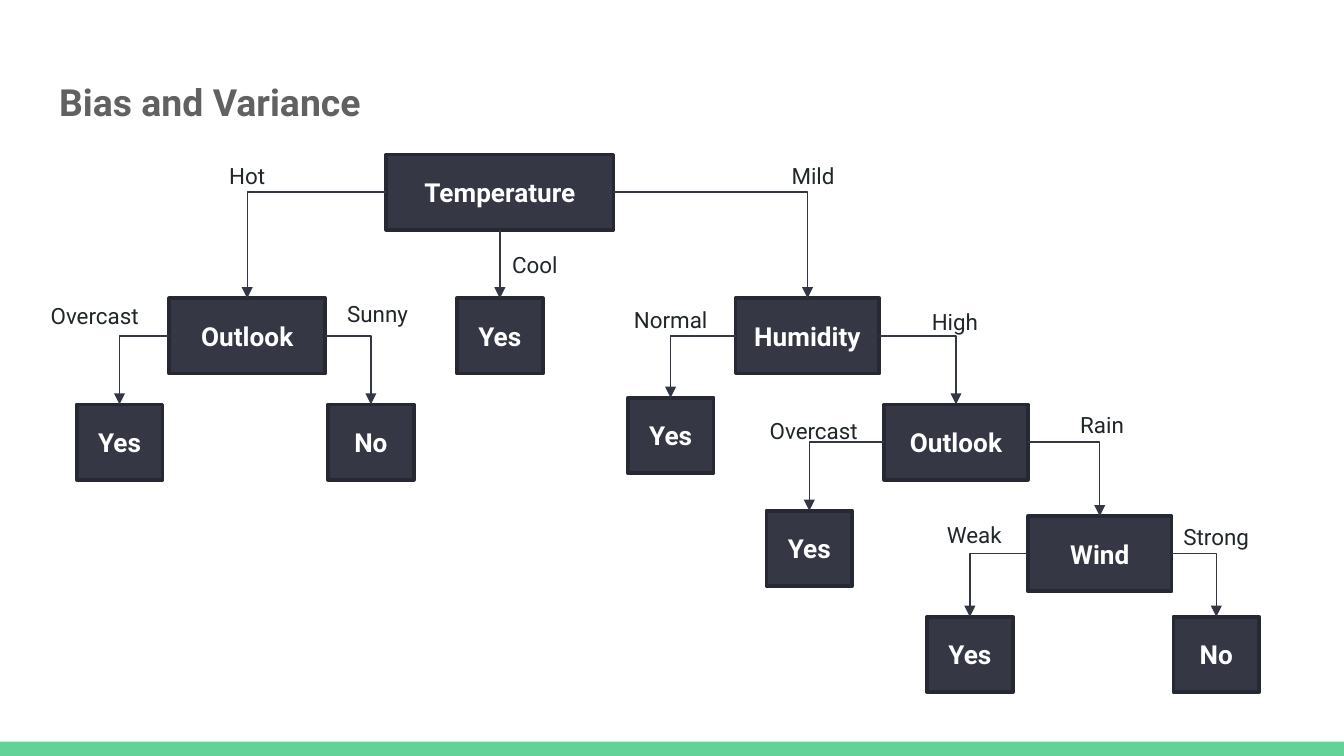
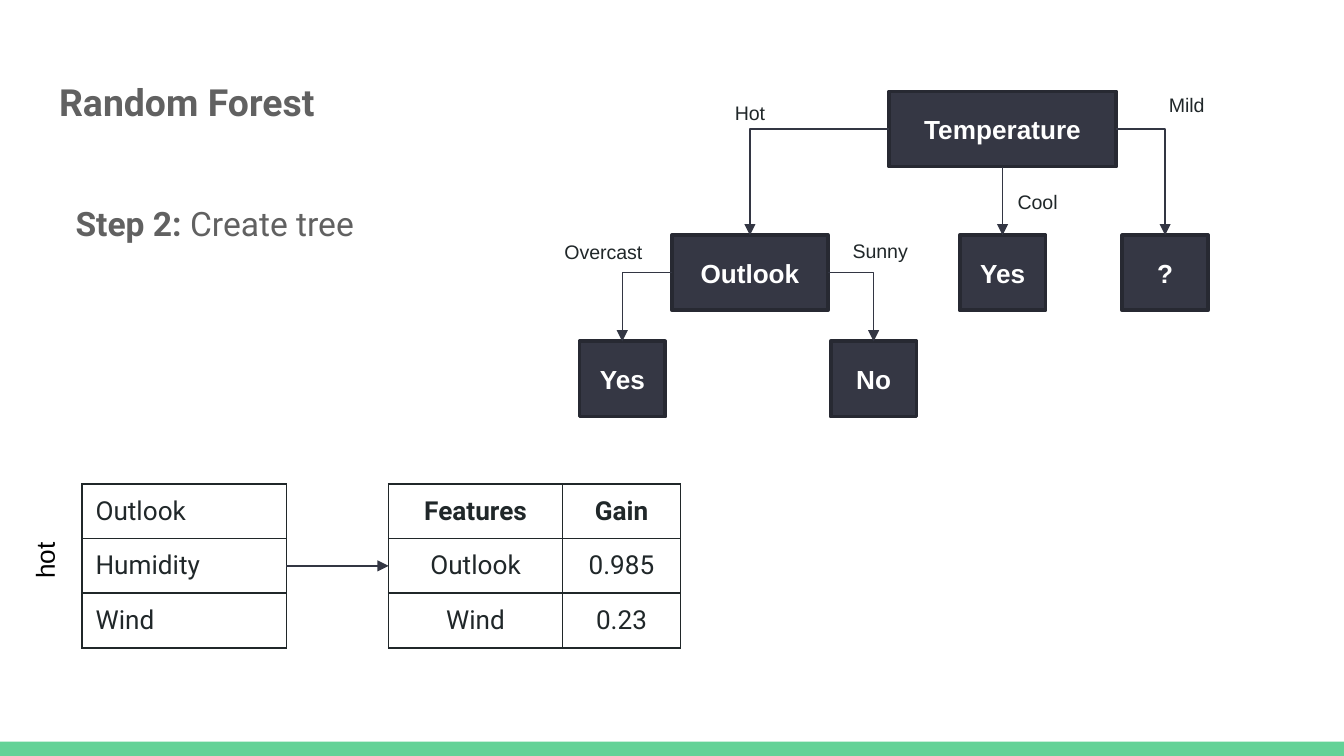
from lxml.etree import SubElement
from pptx import Presentation
from pptx.dml.color import RGBColor
from pptx.enum.shapes import MSO_CONNECTOR, MSO_SHAPE
from pptx.enum.text import MSO_ANCHOR, MSO_AUTO_SIZE, PP_ALIGN
from pptx.oxml.ns import qn
from pptx.util import Pt

WHITE = RGBColor(0xFF, 0xFF, 0xFF)
BLACK = RGBColor(0x00, 0x00, 0x00)
GREEN = RGBColor(0x63, 0xD2, 0x97)
GREY = RGBColor(0x61, 0x61, 0x61)
INK = RGBColor(0x20, 0x27, 0x29)
NODE_FILL = RGBColor(0x35, 0x37, 0x44)
NODE_LINE = RGBColor(0x27, 0x29, 0x32)
ARROW = RGBColor(0x33, 0x36, 0x43)

TIGHT = {"word_wrap": True, "vertical_anchor": MSO_ANCHOR.MIDDLE,
         "margin_left": 0, "margin_right": 0, "margin_top": 0, "margin_bottom": 0}
PADDED = {"word_wrap": True, "auto_size": MSO_AUTO_SIZE.NONE,
          "vertical_anchor": MSO_ANCHOR.TOP, "margin_left": Pt(7.2),
          "margin_right": Pt(7.2), "margin_top": Pt(7.2), "margin_bottom": Pt(7.2)}
TITLE = {"name": "Roboto", "size": Pt(20), "bold": True}
STEP = {"name": "Roboto", "size": Pt(18), "bold": True}
CELL = {"name": "Roboto", "size": Pt(14), "bold": False}
SIDE = {"name": "Arial", "size": Pt(14), "bold": False}


def write(tf, text, color, font, align=PP_ALIGN.LEFT, frame={}):
    for key, value in frame.items():
        setattr(tf, key, value)
    p = tf.paragraphs[0]
    p.alignment = align
    r = p.add_run()
    r.text = text
    r.font.color.rgb = color
    for key, value in font.items():
        setattr(r.font, key, value)


def style_arrow(cx):
    cx.line.color.rgb = ARROW
    cx.line.width = Pt(0.75)
    sp_pr = cx.element.spPr
    SubElement(sp_pr.find(qn("a:ln")), qn("a:tailEnd"), type="triangle")
    SubElement(sp_pr, qn("a:effectLst"))


NODE_H = 40.3
LEAF_W = 46
MID_W = 77

# key: text, centre x, top, width
shared_nodes = {
    "root": ("Temperature", 267.8, 82.8, 121.7),
    "outlook": ("Outlook", 132.5, 159.8, 83.5),
    "cool": ("Yes", 267.8, 159.8, LEAF_W),
    "overcast": ("Yes", 64.1, 216.7, LEAF_W),
    "sunny": ("No", 198.7, 216.7, LEAF_W),
}
shared_edges = [("root", "outlook"), ("root", "cool"),
                ("outlook", "overcast"), ("outlook", "sunny")]
shared_labels = [("Hot", 132.5, 94.3), ("Cool", 286.6, 141.8), ("Sunny", 202.3, 168.1)]

trees = [
    {
        "title": "Bias and Variance", "font": "Roboto", "label_size": 12, "offset": (0, 0),
        "nodes": {
            "humidity": ("Humidity", 432.6, 159.8, MID_W),
            "normal": ("Yes", 359.3, 213.1, LEAF_W),
            "high": ("Outlook", 512.2, 216.7, MID_W),
            "cloudy": ("Yes", 433.6, 273.6, LEAF_W),
            "wind": ("Wind", 589.2, 276.5, MID_W),
            "weak": ("Yes", 519.6, 330.5, LEAF_W),
            "strong": ("No", 651.6, 330.5, LEAF_W),
        },
        "edges": [("root", "humidity"), ("humidity", "normal"), ("humidity", "high"),
                  ("high", "cloudy"), ("high", "wind"), ("wind", "weak"), ("wind", "strong")],
        "labels": [("Mild", 435.6, 94.3), ("Overcast", 50.8, 168.8), ("Normal", 359.3, 171.4),
                   ("High", 511.6, 172.1), ("Overcast", 436, 230.4), ("Rain", 590.4, 227.5),
                   ("Weak", 522, 286.6), ("Strong", 651.6, 287.3)],
    },
    {
        "title": "Random Forest", "font": "Arial", "label_size": 10.5, "offset": (269.3, -33.8),
        "nodes": {"unknown": ("?", 354.9, 159.8, LEAF_W)},
        "edges": [("root", "unknown")],
        "labels": [("Mild", 366.5, 90), ("Overcast", 54, 168.8)],
    },
]

prs = Presentation()
prs.slide_width, prs.slide_height = Pt(720), Pt(405)

for tree in trees:
    s = prs.slides.add_slide(prs.slide_layouts[5])
    title = s.shapes.title
    title.left, title.top, title.width, title.height = Pt(24.5), Pt(35.3), Pt(671), Pt(45.4)
    write(title.text_frame, tree["title"], GREY, TITLE, frame=PADDED)

    dx, dy = tree["offset"]
    node_font = {"name": tree["font"], "size": Pt(14), "bold": True}
    label_font = {"name": tree["font"], "size": Pt(tree["label_size"])}
    nodes = shared_nodes | tree["nodes"]
    boxes = {}
    for key, (text, x, y, w) in nodes.items():
        sp = s.shapes.add_shape(MSO_SHAPE.RECTANGLE, Pt(x - w / 2 + dx), Pt(y + dy),
                                Pt(w), Pt(NODE_H))
        sp.shadow.inherit = False
        sp.fill.solid()
        sp.fill.fore_color.rgb = NODE_FILL
        sp.line.color.rgb = NODE_LINE
        sp.line.width = Pt(2)
        write(sp.text_frame, text, WHITE, node_font, PP_ALIGN.CENTER, TIGHT)
        boxes[key] = sp

    for parent, child in shared_edges + tree["edges"]:
        shift = nodes[child][1] - nodes[parent][1]
        kind = MSO_CONNECTOR.ELBOW if shift else MSO_CONNECTOR.STRAIGHT
        site = 2 if shift == 0 else 1 if shift < 0 else 3
        cx = s.shapes.add_connector(kind, 0, 0, 0, 0)
        cx.begin_connect(boxes[parent], site)
        cx.end_connect(boxes[child], 0)
        if shift:
            cx.element.spPr.find(qn("a:prstGeom")).set("prst", "bentConnector2")
        style_arrow(cx)

    for text, x, y in shared_labels + tree["labels"]:
        sp = s.shapes.add_textbox(Pt(x - 33 + dx), Pt(y - 12 + dy), Pt(66), Pt(24))
        write(sp.text_frame, text, INK, label_font, PP_ALIGN.CENTER, TIGHT)

sp = s.shapes.add_textbox(Pt(24.5), Pt(90.7), Pt(240), Pt(50))
tf = sp.text_frame
write(tf, "Step 2: ", GREY, STEP, frame=PADDED | {"margin_left": Pt(16)})
write(tf, "Create tree", GREY, STEP | {"bold": False})
tf.paragraphs[0].line_spacing = 1.5

ROW_H = 29.3
TABLE_TOP = 259.2
tables = [
    (44, [109.4], PP_ALIGN.LEFT, False, [["Outlook"], ["Humidity"], ["Wind"]]),
    (208.2, [93.2, 63.2], PP_ALIGN.CENTER, True,
     [["Features", "Gain"], ["Outlook", "0.985"], ["Wind", "0.23"]]),
]
for left, widths, align, has_header, rows in tables:
    tbl = s.shapes.add_table(len(rows), len(widths), Pt(left), Pt(TABLE_TOP),
                             Pt(sum(widths)), Pt(ROW_H * len(rows))).table
    tbl.first_row = has_header
    tbl.horz_banding = False
    for col, w in zip(tbl.columns, widths):
        col.width = Pt(w)
    for i, row in enumerate(rows):
        tbl.rows[i].height = Pt(ROW_H)
        for j, text in enumerate(row):
            cell = tbl.cell(i, j)
            cell.vertical_anchor = MSO_ANCHOR.MIDDLE
            write(cell.text_frame, text, INK, CELL | {"bold": has_header and i == 0}, align)
            tc_pr = cell._tc.get_or_add_tcPr()
            for side in ("a:lnL", "a:lnR", "a:lnT", "a:lnB"):
                ln = SubElement(tc_pr, qn(side), w=str(Pt(1)))
                SubElement(SubElement(ln, qn("a:solidFill")), qn("a:srgbClr"), val=str(INK))
            cell.fill.background()

middle = TABLE_TOP + ROW_H * 1.5
cx = s.shapes.add_connector(MSO_CONNECTOR.STRAIGHT, Pt(153.4), Pt(middle), Pt(208.2), Pt(middle))
style_arrow(cx)

sp = s.shapes.add_textbox(Pt(6.5), Pt(288), Pt(34.6), Pt(24.5))
sp.rotation = 270
write(sp.text_frame, "hot", BLACK, SIDE, PP_ALIGN.CENTER, TIGHT)

bar = s.shapes.add_shape(MSO_SHAPE.RECTANGLE, 0, Pt(397.4), prs.slide_width, Pt(7.6))
bar.shadow.inherit = False
bar.fill.solid()
bar.fill.fore_color.rgb = GREEN
bar.line.fill.background()
prs.slide_master.shapes.element.append(bar.element)

prs.save("out.pptx")
